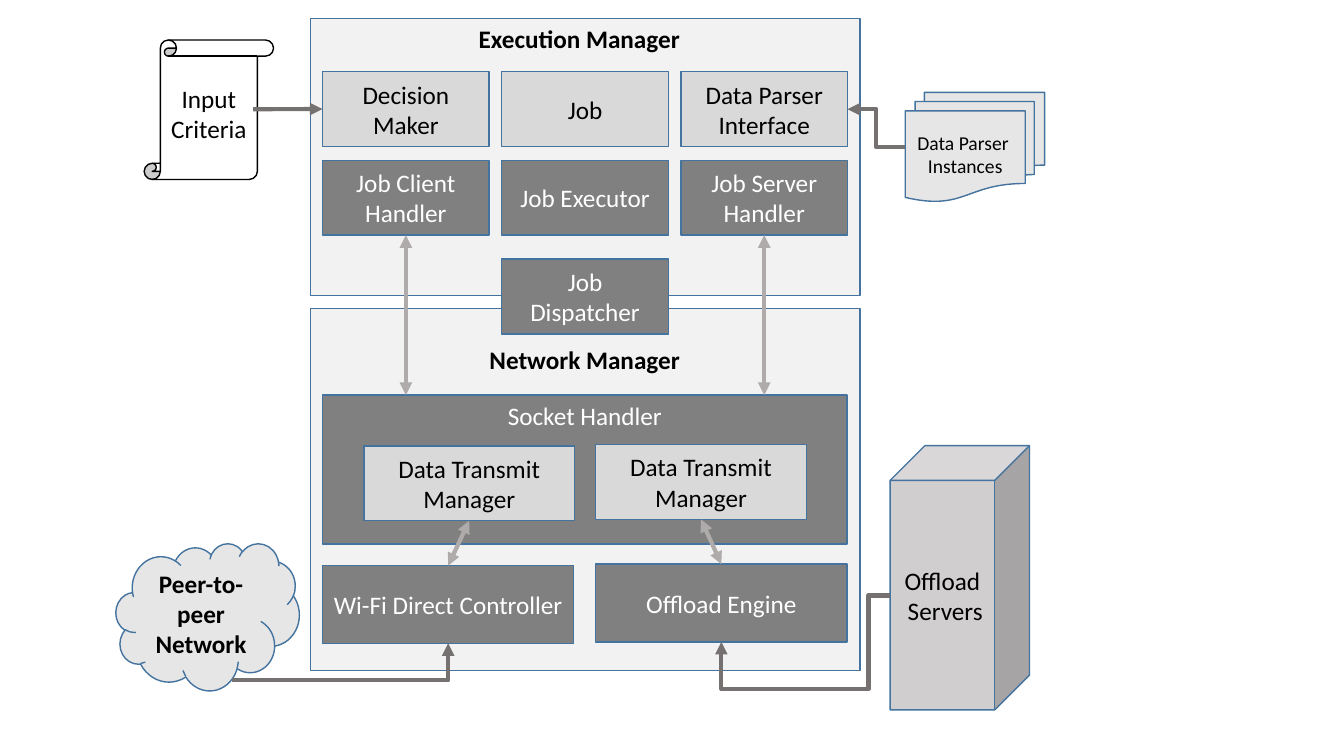
from lxml import etree
from pptx import Presentation
from pptx import util as u
from pptx.dml.color import RGBColor
from pptx.enum import shapes, text
from pptx.oxml import ns

FORMS = shapes.MSO_SHAPE
LINKS = shapes.MSO_CONNECTOR
ALIGN = text.PP_ALIGN
TOP, LEFT, BOTTOM = 0, 1, 2


def color(value):
    return RGBColor.from_string(value)


class Diagram:
    font = "Calibri"
    outline = "43739E"
    black = "000000"
    white = "FFFFFF"
    panel_fill = "F2F2F2"
    light = "D9D9D9"
    dark = "808080"
    pale = "E7E6E6"
    external = "767171"
    internal = "AFABAB"

    def __init__(self, slide):
        self.slide = slide

    def label(self, frame, wording, size, ink, bold, align):
        frame.word_wrap = True
        frame.text = wording
        for paragraph in frame.paragraphs:
            paragraph.alignment = align
            for run in paragraph.runs:
                run.font.name = self.font
                run.font.size = u.Pt(size)
                run.font.bold = bold
                run.font.color.rgb = color(ink)

    def shape(self, form, x, y, width, height, fill, wording="", size=18, ink=black,
              bold=False, outline=outline, anchor=text.MSO_ANCHOR.MIDDLE):
        shape = self.slide.shapes.add_shape(form, u.Pt(x), u.Pt(y), u.Pt(width), u.Pt(height))
        shape.shadow.inherit = False
        shape.fill.solid()
        shape.fill.fore_color.rgb = color(fill)
        shape.line.color.rgb = color(outline)
        shape.line.width = u.Pt(1)
        shape.text_frame.vertical_anchor = anchor
        if wording:
            self.label(shape.text_frame, wording, size, ink, bold, ALIGN.CENTER)
        return shape

    def light_box(self, x, y, width, height, wording):
        return self.shape(FORMS.RECTANGLE, x, y, width, height, self.light, wording)

    def dark_box(self, x, y, width, height, wording, anchor=text.MSO_ANCHOR.MIDDLE):
        return self.shape(FORMS.RECTANGLE, x, y, width, height, self.dark, wording,
                          ink=self.white, anchor=anchor)

    def heading(self, x, y, width, wording, align):
        box = self.slide.shapes.add_textbox(u.Pt(x), u.Pt(y), u.Pt(width), u.Pt(29))
        self.label(box.text_frame, wording, 18, self.black, True, align)

    def arrow(self, start, end, ink, both_ends=False, bend=None, adjustments=()):
        kind = LINKS.ELBOW if bend else LINKS.STRAIGHT
        connector = self.slide.shapes.add_connector(kind, *map(u.Pt, start + end))
        connector.line.color.rgb = color(ink)
        connector.line.width = u.Pt(3)
        properties = connector._element.spPr
        line = properties.find(ns.qn("a:ln"))
        for tag in ("a:headEnd", "a:tailEnd") if both_ends else ("a:tailEnd",):
            etree.SubElement(line, ns.qn(tag), type="triangle")
        etree.SubElement(properties, ns.qn("a:effectLst"))
        if bend:
            geometry = properties.find(ns.qn("a:prstGeom"))
            geometry.set("prst", bend)
            guides = geometry.find(ns.qn("a:avLst"))
            for number, value in enumerate(adjustments, 1):
                etree.SubElement(guides, ns.qn("a:gd"), name=f"adj{number}", fmla=f"val {value}")
        return connector


def build():
    presentation = Presentation()
    presentation.slide_width = u.Pt(960)
    presentation.slide_height = u.Pt(540)
    diagram = Diagram(presentation.slides.add_slide(presentation.slide_layouts[6]))

    for y, height in ((13, 198), (220.3, 258.5)):
        diagram.shape(FORMS.RECTANGLE, 221.8, y, 392.4, height, diagram.panel_fill)
    diagram.heading(334.8, 13, 166.3, "Execution Manager", ALIGN.LEFT)
    diagram.heading(317.5, 242.6, 200.2, "Network Manager", ALIGN.CENTER)

    columns = [230.4 + 128 * index for index in range(3)]
    box_width, box_height = 119, 53.5
    managers = [diagram.light_box(x, 51.2, box_width, box_height, wording)
                for x, wording in zip(columns, ("Decision Maker", "Job", "Data Parser\nInterface"))]
    handlers = [diagram.dark_box(x, 114.5, box_width, box_height, wording)
                for x, wording in zip(columns, ("Job Client Handler", "Job Executor",
                                                "Job Server Handler"))]
    diagram.dark_box(columns[1], 185, box_width, box_height, "Job Dispatcher")
    diagram.dark_box(columns[0], 282.2, 374.6, 106.4, "Socket Handler", text.MSO_ANCHOR.TOP)

    diagram.shape(FORMS.VERTICAL_SCROLL, 103, 28.6, 92.4, 99.6, diagram.white,
                  "Input\nCriteria", outline=diagram.black)
    diagram.shape(FORMS.FLOWCHART_MULTIDOCUMENT, 646.6, 66, 99.6, 78, diagram.pale,
                  "Data Parser \nInstances", size=14)
    diagram.shape(FORMS.CUBE, 635.8, 318.3, 99.6, 188.8, "D0CECE", "Offload\n Servers")
    diagram.shape(FORMS.CLOUD, 82.8, 388.1, 131, 105.1, diagram.pale,
                  "Peer-to-peer Network", bold=True)

    for handler in (handlers[0], handlers[2]):
        x = (handler.left + handler.width / 2) / u.Pt(1)
        link = diagram.arrow((x, 168), (x, 282.2), diagram.internal, both_ends=True)
        link.begin_connect(handler, BOTTOM)

    for transmit_x, engine_x, y, wording in (
            (259.9, 230.4, 318.5, "Wi-Fi Direct Controller"),
            (425.5, 425.5, 317.5, "Offload Engine")):
        transmitter = diagram.light_box(transmit_x, y, 150.5, box_height, "Data Transmit Manager")
        engine = diagram.dark_box(engine_x, y + 85.5, 179.5, 55.5, wording)
        link = diagram.arrow((transmit_x, y), (engine_x, y), diagram.internal, both_ends=True)
        link.begin_connect(transmitter, BOTTOM)
        link.end_connect(engine, TOP)

    entry = diagram.arrow((180.9, 78), (230.4, 78), diagram.external)
    entry.end_connect(managers[0], LEFT)
    diagram.arrow((646.6, 105.2), (605.4, 78), diagram.external, bend="bentConnector3")
    diagram.arrow((635.8, 425.4), (515.3, 458.5), diagram.external,
                  bend="bentConnector4", adjustments=(12800, 201400))
    diagram.arrow((165.6, 486), (320.2, 459.5), diagram.external, bend="bentConnector2")

    presentation.save("out.pptx")


if __name__ == "__main__":
    build()
